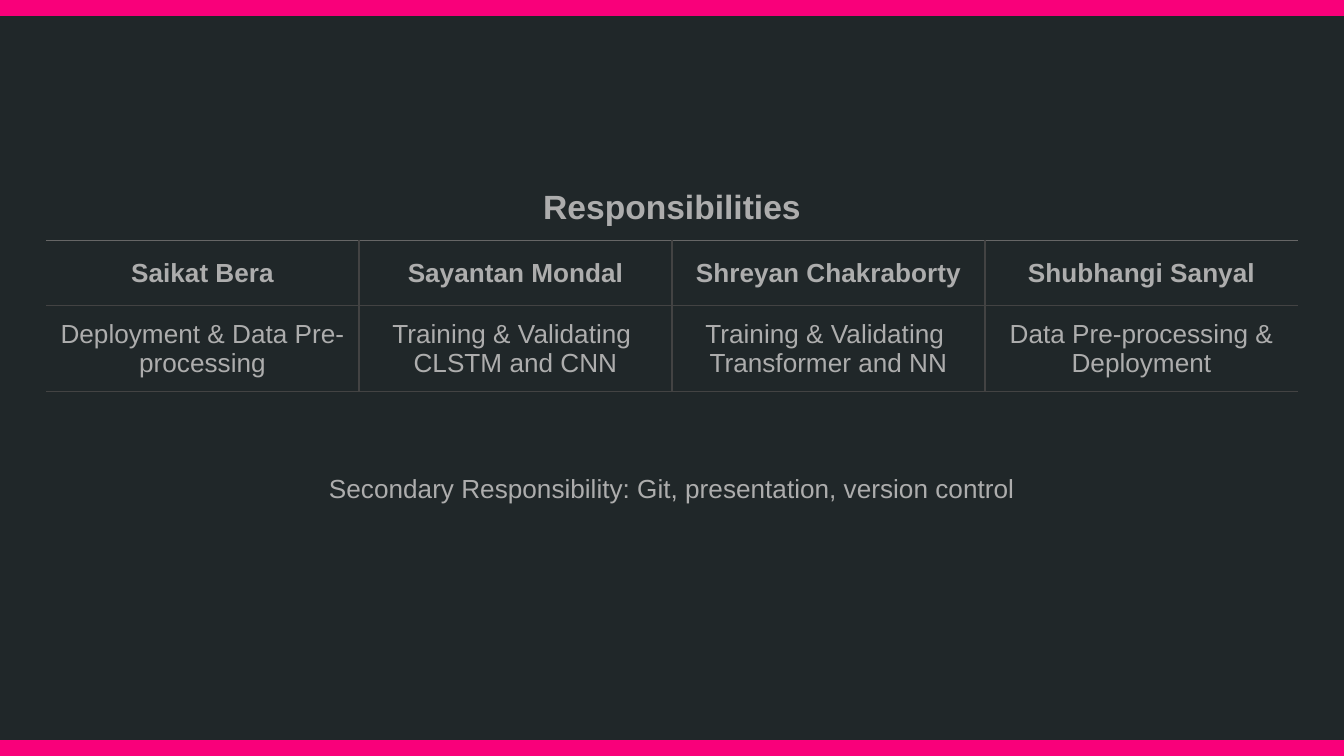
"""Build a slide with a table of team responsibilities."""
from lxml.etree import SubElement
from pptx import Presentation
from pptx.dml.color import RGBColor
from pptx.enum.shapes import MSO_SHAPE
from pptx.enum.text import MSO_ANCHOR, PP_ALIGN
from pptx.oxml.ns import qn
from pptx.util import Cm, Pt

DARK = RGBColor(0x20, 0x27, 0x29)
PINK = RGBColor(0xF9, 0x00, 0x7A)
TEXT = RGBColor(0xAD, 0xAD, 0xAD)
RULE = RGBColor(0x66, 0x66, 0x66)
GRID = RGBColor(0x43, 0x43, 0x43)
PLAIN = "{2D5ABB26-0587-4C30-8999-92F81FD0307C}"


def write(cell, text, size=14, bold=False):
    cell.vertical_anchor = MSO_ANCHOR.MIDDLE
    cell.margin_left = cell.margin_right = Cm(0.25)
    cell.margin_top = cell.margin_bottom = Cm(0.25)
    cell.text = text
    for para in cell.text_frame.paragraphs:
        para.alignment = PP_ALIGN.CENTER
        font = para.runs[0].font
        font.name, font.size, font.bold = "Arial", Pt(size), bold
        font.color.rgb = TEXT


def edge(cell, **sides):
    props = cell._tc.get_or_add_tcPr()
    for spot, (side, color) in enumerate(sides.items()):
        line = SubElement(props, qn(f"a:ln{side}"), w=str(Pt(0.75)))
        fill = SubElement(line, qn("a:solidFill"))
        SubElement(fill, qn("a:srgbClr"), val=str(color))
        props.insert(spot, line)


deck = Presentation()
deck.slide_width, deck.slide_height = Cm(25.4), Cm(14.29)
slide = deck.slides.add_slide(deck.slide_layouts[6])
slide.background.fill.solid()
slide.background.fill.fore_color.rgb = DARK

for top in (0, 13.99):
    bar = slide.shapes.add_shape(MSO_SHAPE.RECTANGLE, 0, Cm(top), Cm(25.4), Cm(0.3))
    bar.shadow.inherit = False
    bar.fill.solid()
    bar.fill.fore_color.rgb = PINK
    bar.line.fill.background()

team = [
    ("Saikat Bera", "Deployment & Data Pre-processing"),
    ("Sayantan Mondal", "Training & Validating \nCLSTM and CNN"),
    ("Shreyan Chakraborty", "Training & Validating \nTransformer and NN"),
    ("Shubhangi Sanyal", "Data Pre-processing & Deployment"),
]
tall = [1.24, 1.24, 1.62, 1.24, 1.24]
frame = slide.shapes.add_table(5, 4, Cm(0.87), Cm(3.3), Cm(23.66), Cm(sum(tall)))
table = frame.table
table.first_row = table.horz_banding = False
frame._element.find(".//" + qn("a:tableStyleId")).text = PLAIN
for row, high in zip(table.rows, tall):
    row.height = Cm(high)
for cell in table.iter_cells():
    cell.fill.background()
for row in (0, 3, 4):
    table.cell(row, 0).merge(table.cell(row, 3))

write(table.cell(0, 0), "Responsibilities", size=18, bold=True)
write(table.cell(4, 0), "Secondary Responsibility: Git, presentation, version control")
for col, (name, task) in enumerate(team):
    head, body = table.cell(1, col), table.cell(2, col)
    write(head, name, bold=True)
    write(body, task)
    walls = {}
    if col > 0:
        walls["L"] = GRID
    if col < 3:
        walls["R"] = GRID
    edge(table.cell(0, col), B=RULE)
    edge(head, **walls, T=RULE, B=GRID)
    edge(body, **walls, T=GRID)

deck.save("out.pptx")
